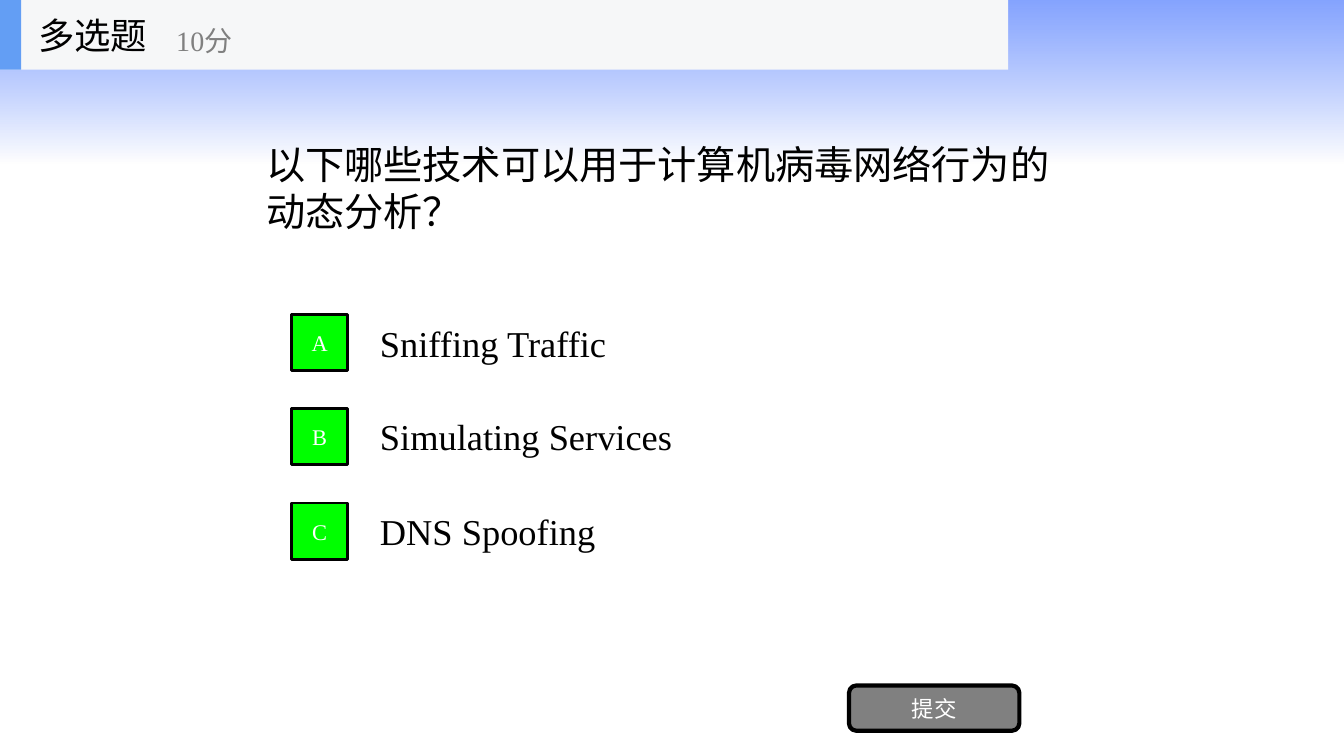
import dataclasses

import lxml.etree
import pptx
import pptx.dml.color
import pptx.enum.shapes
import pptx.enum.text
import pptx.oxml.ns
import pptx.util

PX = 9144  # 100 px to the inch
FONT = "Times New Roman"
RECTANGLE = pptx.enum.shapes.MSO_SHAPE.RECTANGLE
ROUNDED = pptx.enum.shapes.MSO_SHAPE.ROUNDED_RECTANGLE
ALIGN = pptx.enum.text.PP_ALIGN


@dataclasses.dataclass(frozen=True)
class Box:
    left: int
    top: int
    width: int
    height: int

    def emu(self) -> tuple[int, ...]:
        return tuple(value * PX for value in dataclasses.astuple(self))


@dataclasses.dataclass(frozen=True)
class Option:
    letter: str
    answer: str
    badge_top: int


OPTIONS = [
    Option("A", "Sniffing Traffic", 312),
    Option("B", "Simulating Services", 405),
    Option("C", "DNS Spoofing", 499),
]


def color(value: str) -> pptx.dml.color.RGBColor:
    return pptx.dml.color.RGBColor.from_string(value)


def write(shape, text: str, *, size: int, ink: str = "000000", align=ALIGN.LEFT) -> None:
    frame = shape.text_frame
    frame.word_wrap = True
    frame.auto_size = pptx.enum.text.MSO_AUTO_SIZE.NONE
    frame.vertical_anchor = pptx.enum.text.MSO_ANCHOR.MIDDLE
    paragraph = frame.paragraphs[0]
    paragraph.alignment = align
    run = paragraph.add_run()
    run.text = text
    run.font.name = FONT
    run.font.size = pptx.util.Pt(size)
    run.font.color.rgb = color(ink)


def add_label(shapes, box: Box, text: str, *, size: int, ink: str = "000000") -> None:
    write(shapes.add_textbox(*box.emu()), text, size=size, ink=ink)


def add_block(shapes, box: Box, fill: str, *, kind=RECTANGLE, line_width: int = 0):
    """Add a flat shape, outlined in black if a line width is given."""
    shape = shapes.add_shape(kind, *box.emu())
    shape.shadow.inherit = False
    shape.fill.solid()
    shape.fill.fore_color.rgb = color(fill)
    if line_width:
        shape.line.color.rgb = color("000000")
        shape.line.width = pptx.util.Pt(line_width)
    else:
        shape.line.fill.background()
    return shape


def add_top_fade(slide) -> None:
    """Add the translucent gradient band behind everything else."""
    band = add_block(slide.shapes, Box(0, 0, 1333, 162), "FFFFFF")
    band.fill.gradient()
    band.fill.gradient_angle = 270
    stops = [("3366FF", 0, 60), ("FFFFFF", 1, 70)]
    for stop, (value, position, opacity) in zip(band.fill.gradient_stops, stops):
        stop.color.rgb = color(value)
        stop.position = position
    tag = pptx.oxml.ns.qn("a:srgbClr")
    for element, (_, _, opacity) in zip(band.element.spPr.iter(tag), stops):
        alpha = lxml.etree.SubElement(element, pptx.oxml.ns.qn("a:alpha"))
        alpha.set("val", str(opacity * 1000))
    slide.shapes.title.element.addprevious(band.element)


def add_question(slide) -> None:
    title = slide.shapes.title
    title.left, title.top, title.width, title.height = Box(254, 69, 800, 234).emu()
    write(title, "以下哪些技术可以用于计算机病毒网络行为的动态分析？", size=28)


def add_option(shapes, option: Option) -> None:
    add_label(shapes, Box(367, option.badge_top - 7, 700, 70), option.answer, size=26)
    badge = add_block(shapes, Box(289, option.badge_top, 56, 56), "00FF00", line_width=2)
    write(badge, option.letter, size=16, ink="FFFFFF", align=ALIGN.CENTER)


def add_header(slide) -> None:
    shapes = slide.shapes.add_group_shape().shapes
    add_block(shapes, Box(0, 0, 1000, 69), "F6F7F8")
    add_block(shapes, Box(0, 0, 21, 69), "639EF4")
    add_label(shapes, Box(28, 0, 208, 69), "多选题", size=26)
    add_label(shapes, Box(165, 12, 250, 56), "10分", size=20, ink="808080")


def main() -> None:
    presentation = pptx.Presentation()
    presentation.slide_width = 1333 * PX
    presentation.slide_height = 750 * PX
    slide = presentation.slides.add_slide(presentation.slide_layouts[5])
    add_top_fade(slide)
    add_question(slide)
    for option in OPTIONS:
        add_option(slide.shapes, option)
    button = add_block(
        slide.shapes, Box(842, 680, 169, 45), "808080", kind=ROUNDED, line_width=3
    )
    write(button, "提交", size=16, ink="FFFFFF", align=ALIGN.CENTER)
    add_header(slide)
    presentation.save("out.pptx")


if __name__ == "__main__":
    main()
